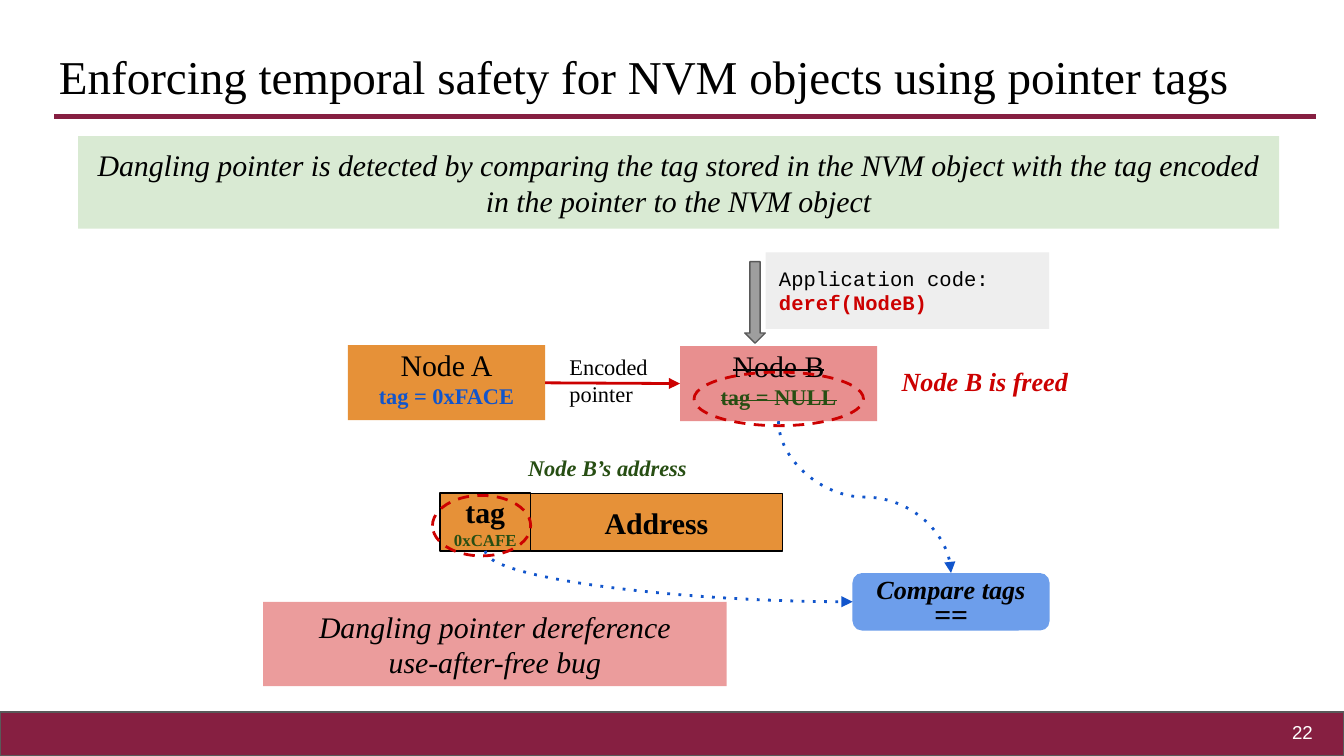
from lxml import etree
from pptx import Presentation
from pptx.dml.color import RGBColor
from pptx.enum.shapes import MSO_CONNECTOR, MSO_SHAPE
from pptx.enum.text import MSO_ANCHOR, PP_ALIGN
from pptx.oxml.ns import qn
from pptx.util import Pt

MAROON = RGBColor(0x86, 0x1F, 0x41)
BLACK = RGBColor(0, 0, 0)
WHITE = RGBColor(0xFF, 0xFF, 0xFF)
DARK_GRAY = RGBColor(0x59, 0x59, 0x59)
GRAY = RGBColor(0x9E, 0x9E, 0x9E)
LIGHT_GRAY = RGBColor(0xEE, 0xEE, 0xEE)
ORANGE = RGBColor(0xE6, 0x91, 0x38)
PINK = RGBColor(0xE0, 0x66, 0x66)
RED = RGBColor(0xCC, 0, 0)
BLUE = RGBColor(0x11, 0x55, 0xCC)
LIGHT_BLUE = RGBColor(0x6D, 0x9E, 0xEB)
GREEN = RGBColor(0x27, 0x4E, 0x13)
LIGHT_GREEN = RGBColor(0xD9, 0xEA, 0xD3)

SERIF, MONO, SANS = "Times New Roman", "Courier New", "Arial"
INSET = 7.2


def write(sp, lines, font=SERIF, align=PP_ALIGN.CENTER, anchor=MSO_ANCHOR.MIDDLE,
          top=INSET, bottom=INSET, spacing=None):
    """Each line is (text, size, color, style); style holds b, i and s flags."""
    tf = sp.text_frame
    tf.word_wrap = True
    tf.vertical_anchor = anchor
    tf.margin_left = tf.margin_right = Pt(INSET)
    tf.margin_top, tf.margin_bottom = Pt(top), Pt(bottom)
    for i, (text, size, color, style) in enumerate(lines):
        p = tf.paragraphs[0] if i == 0 else tf.add_paragraph()
        p.alignment = align
        p.line_spacing = spacing
        r = p.add_run()
        r.text = text
        p.font.name, p.font.size = font, Pt(size)
        p.font.color.rgb = color
        p.font.bold, p.font.italic = "b" in style, "i" in style
        if "s" in style:
            r.font._element.set("strike", "sngStrike")


def add_label(s, x, y, w, h, line, font=SERIF, align=PP_ALIGN.LEFT, anchor=MSO_ANCHOR.TOP):
    sp = s.shapes.add_textbox(Pt(x), Pt(y), Pt(w), Pt(h))
    write(sp, [line], font, align, anchor)


def add_box(s, x, y, w, h, fill=None, line=None, width=0.75, kind=MSO_SHAPE.RECTANGLE, alpha=None):
    sp = s.shapes.add_shape(kind, Pt(x), Pt(y), Pt(w), Pt(h))
    sp.shadow.inherit = False
    if fill is None:
        sp.fill.background()
    else:
        sp.fill.solid()
        sp.fill.fore_color.rgb = fill
    if alpha:
        color = sp._element.spPr.find(qn("a:solidFill"))[0]
        etree.SubElement(color, qn("a:alpha")).set("val", str(alpha * 1000))
    if line is None:
        sp.line.fill.background()
    else:
        sp.line.color.rgb = line
        sp.line.width = Pt(width)
    return sp


def add_ring(s, x, y, w, h):
    sp = add_box(s, x, y, w, h, line=RED, width=1.5, kind=MSO_SHAPE.OVAL)
    set_line_end(sp, dash="dash")


def set_line_end(sp, dash=None, arrow=False):
    ln = sp.line._get_or_add_ln()
    if dash:
        etree.SubElement(ln, qn("a:prstDash")).set("val", dash)
    if arrow:
        etree.SubElement(ln, qn("a:tailEnd")).set("type", "triangle")


def add_line(s, x1, y1, x2, y2, color, width, kind=MSO_CONNECTOR.STRAIGHT, dash=None, arrow=True):
    c = s.shapes.add_connector(kind, Pt(x1), Pt(y1), Pt(x2), Pt(y2))
    c.line.color.rgb = color
    c.line.width = Pt(width)
    set_line_end(c, dash, arrow)
    etree.SubElement(c._element.spPr, qn("a:effectLst"))
    return c


def add_curve(s, x1, y1, x2, y2, preset):
    """Dotted curve that leaves downwards: a frame turned by 270 degrees and flipped."""
    cx, cy = (x1 + x2) / 2, (y1 + y2) / 2
    half_w, half_h = (y2 - y1) / 2, (x2 - x1) / 2
    c = add_line(s, cx - half_w, cy - half_h, cx + half_w, cy + half_h,
                 BLUE, 1.5, MSO_CONNECTOR.CURVE, "dot")
    c._element.spPr.find(qn("a:prstGeom")).set("prst", preset)
    xfrm = c._element.spPr.find(qn("a:xfrm"))
    xfrm.set("rot", str(270 * 60000))
    xfrm.set("flipH", "1")


def add_node(s, x, y, name, tag, fill, tag_color, style="", alpha=None):
    sp = add_box(s, x, y, 105.6, 40.2, fill, alpha=alpha)
    write(sp, [(name, 16, BLACK, style), (tag, 12, tag_color, "b" + style)], top=0, bottom=5)


def main():
    prs = Presentation()
    prs.slide_width, prs.slide_height = Pt(720), Pt(405)
    s = prs.slides.add_slide(prs.slide_layouts[6])

    # Footer, title and rule
    add_box(s, 0, 381.5, 720, 23.5, MAROON, DARK_GRAY)
    add_line(s, 29, 62.4, 705, 62.4, MAROON, 3, arrow=False)
    add_label(s, 24.5, 17.3, 671, 45.4,
              ("Enforcing temporal safety for NVM objects using pointer tags", 25.2, BLACK, ""),
              anchor=MSO_ANCHOR.BOTTOM)
    add_label(s, 667.2, 376.6, 43.2, 31, ("22", 10, WHITE, ""), SANS,
              PP_ALIGN.RIGHT, MSO_ANCHOR.MIDDLE)

    # Nodes and the pointer between them
    add_node(s, 364.3, 185.5, "Node B", "tag = NULL", PINK, GREEN, "s", 73)
    add_label(s, 475.9, 188.6, 129, 31.7, ("Node B is freed", 14, RED, "bi"))
    add_node(s, 186.4, 185, "Node A", "tag = 0xFACE", ORANGE, BLUE)
    add_line(s, 292, 205.1, 364.3, 205.5, RED, 1.5)
    add_label(s, 298, 182.2, 60.5, 44, ("Encoded pointer", 12, BLACK, ""))

    # Encoded address
    add_label(s, 275.8, 236.2, 120.2, 28.8, ("Node B’s address", 12, GREEN, "bi"))
    sp = add_box(s, 284.2, 264.4, 135, 30.8, ORANGE, BLACK)
    write(sp, [("Address", 16, BLACK, "b")])
    sp = add_box(s, 235.7, 264.2, 48.5, 31, ORANGE, BLACK)
    write(sp, [("tag", 16, BLACK, "b"), ("0xCAFE", 9, GREEN, "b")])

    # Application code
    add_box(s, 399, 140.2, 11, 43.7, GRAY, DARK_GRAY, kind=MSO_SHAPE.DOWN_ARROW)
    sp = add_box(s, 410.2, 135.2, 151.9, 41, LIGHT_GRAY)
    write(sp, [("Application code:", 11, BLACK, ""), ("deref(NodeB)", 11, RED, "b")],
          MONO, PP_ALIGN.LEFT, MSO_ANCHOR.TOP)

    # Tag comparison
    sp = add_box(s, 456.7, 307, 105.6, 30.8, LIGHT_BLUE, kind=MSO_SHAPE.ROUNDED_RECTANGLE)
    write(sp, [("Compare tags", 14, BLACK, "bi"), ("==", 16, BLACK, "bi")],
          top=11.5, spacing=0.75)
    add_curve(s, 260, 295.2, 456.7, 322.4, "curvedConnector2")
    add_curve(s, 417.1, 225.7, 509.5, 307, "curvedConnector3")

    # Outcome, highlighted tags and key message
    sp = add_box(s, 141, 322.4, 248.3, 45.2, RED, alpha=39)
    write(sp, [("Dangling pointer dereference", 16, BLACK, "i"),
               ("use-after-free bug", 16, BLACK, "i")])
    add_ring(s, 371.8, 199.4, 90.8, 28.7)
    add_ring(s, 231.7, 265.4, 52.6, 32.4)
    sp = add_box(s, 41.8, 73, 643.5, 49.5, LIGHT_GREEN)
    write(sp, [("Dangling pointer is detected by comparing the tag stored in the NVM object "
                "with the tag encoded in the pointer to the NVM object", 16, BLACK, "i")])

    prs.save("out.pptx")


if __name__ == "__main__":
    main()
